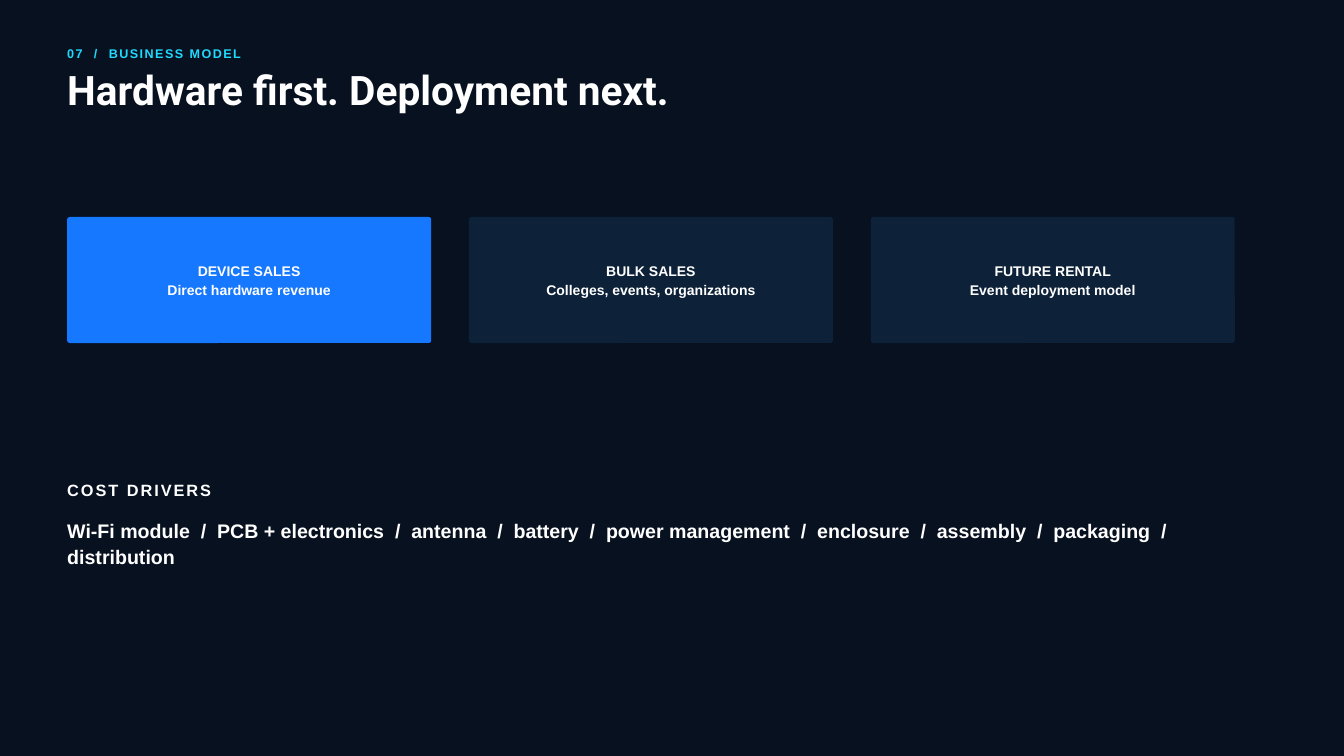
from pptx import Presentation
from pptx.dml.color import RGBColor
from pptx.enum.shapes import MSO_SHAPE as Shape
from pptx.enum.text import MSO_ANCHOR as Anchor, MSO_AUTO_SIZE as AutoSize, PP_ALIGN as Align
from pptx.util import Pt

PX = 9525
COLORS = {"night": "07111F", "cyan": "20D9FF", "white": "FFFFFF", "blue": "1677FF", "navy": "0D2138"}


def color(name):
    return RGBColor.from_string(COLORS[name])


def write(para, text, size, leading, font="Arial", ink="white", tracking=0):
    para.line_spacing = Pt(leading)
    span = para.add_run()
    span.text = text
    for name, value in {"name": font, "size": Pt(size), "bold": True}.items():
        setattr(span.font, name, value)
    span.font.color.rgb = color(ink)
    if tracking:
        span.font._element.set("spc", str(tracking))


deck = Presentation()
deck.slide_width, deck.slide_height = 1920 * PX, 1080 * PX
page = deck.slides.add_slide(deck.slide_layouts[6])
page.background.fill.solid()
page.background.fill.fore_color.rgb = color("night")

cost_drivers = [
    "Wi-Fi module", "PCB + electronics", "antenna", "battery", "power management",
    "enclosure", "assembly", "packaging", "distribution",
]
texts = [
    (62, 600, 23, "07  /  BUSINESS MODEL", {"size": 13.5, "leading": 18.9, "ink": "cyan", "tracking": 160}),
    (100, 1500, 73, "Hardware first. Deployment next.", {"size": 43.5, "leading": 47, "font": "Roboto"}),
    (681, 400, 31, "COST DRIVERS", {"size": 17.5, "leading": 24.5, "tracking": 210}),
    (737, 1660, 73, "  /  ".join(cost_drivers), {"size": 21, "leading": 28.3}),
]
for top, width, height, text, style in texts:
    box = page.shapes.add_textbox(96 * PX, top * PX, width * PX, height * PX)
    frame = box.text_frame
    layout = {"word_wrap": True, "auto_size": AutoSize.SHAPE_TO_FIT_TEXT,
              "margin_left": 0, "margin_top": 0, "margin_right": 0, "margin_bottom": 0}
    for name, value in layout.items():
        setattr(frame, name, value)
    write(frame.paragraphs[0], text, **style)

revenue_streams = [
    ("DEVICE SALES", "Direct hardware revenue", "blue"),
    ("BULK SALES", "Colleges, events, organizations", "navy"),
    ("FUTURE RENTAL", "Event deployment model", "navy"),
]
for index, (heading, detail, fill) in enumerate(revenue_streams):
    card = page.shapes.add_shape(
        Shape.ROUNDED_RECTANGLE, (96 + 574 * index) * PX, 310 * PX, 520 * PX, 180 * PX)
    card.adjustments[0] = 0.02
    card.shadow.inherit = False
    card.fill.solid()
    card.fill.fore_color.rgb = color(fill)
    card.line.fill.background()
    frame = card.text_frame
    layout = {"word_wrap": True, "vertical_anchor": Anchor.MIDDLE, "margin_left": 6 * PX,
              "margin_top": 6 * PX, "margin_right": 6 * PX, "margin_bottom": 9 * PX}
    for name, value in layout.items():
        setattr(frame, name, value)
    for para, text in ((frame.paragraphs[0], heading), (frame.add_paragraph(), detail)):
        para.alignment = Align.CENTER
        write(para, text, size=15, leading=21)

deck.save("out.pptx")
